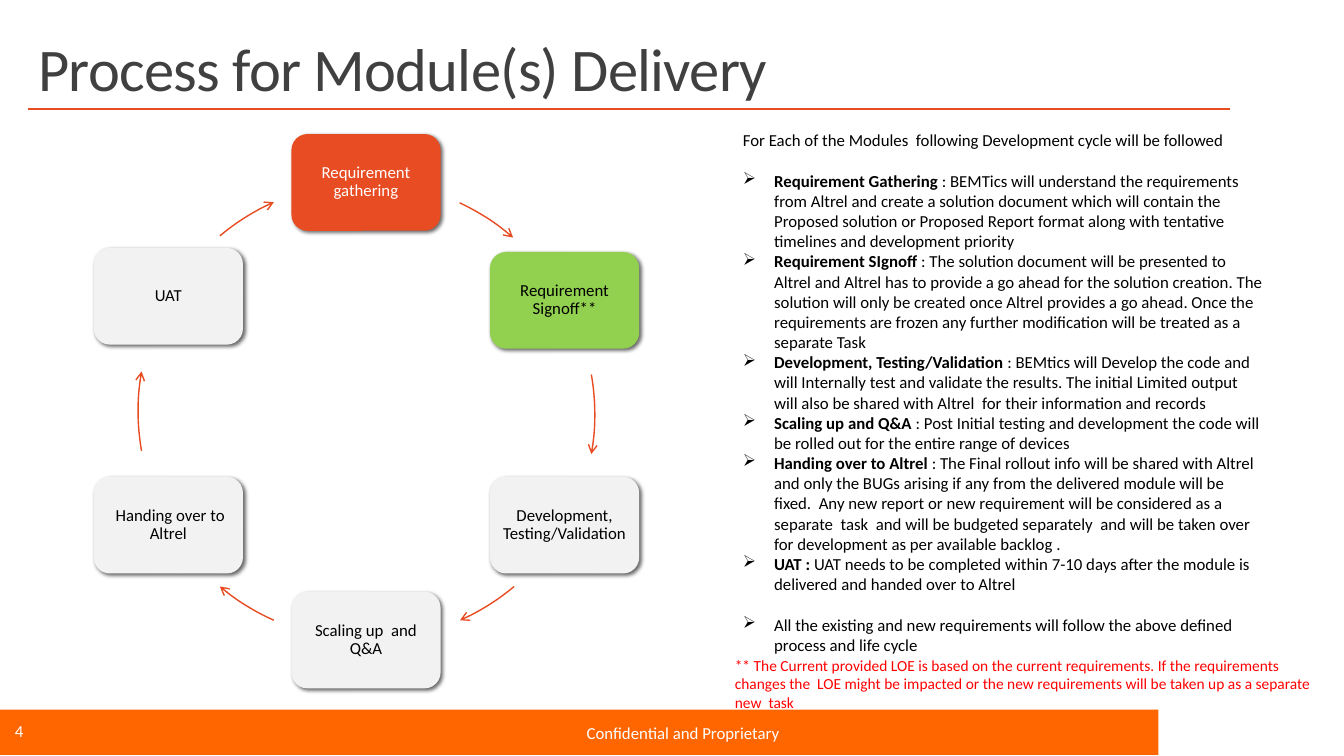
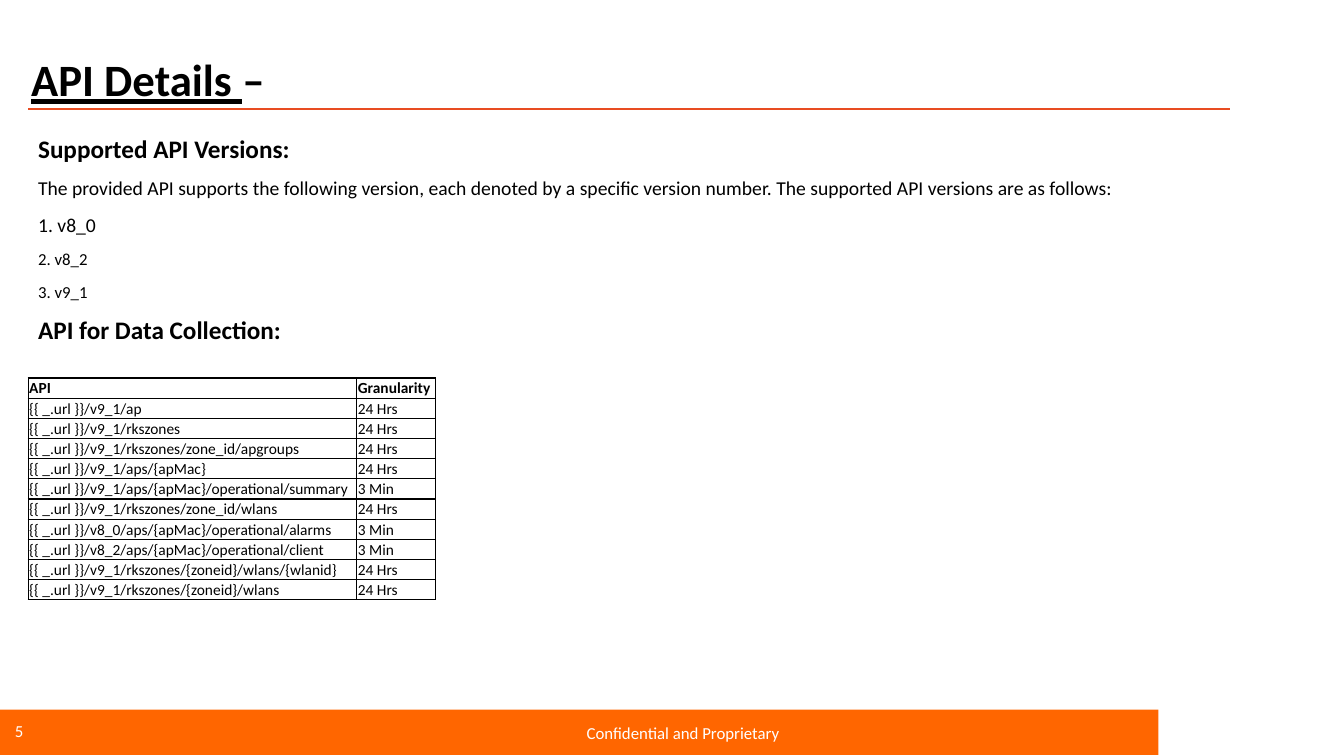
from typing import NamedTuple

from lxml.etree import SubElement
from pptx import Presentation
from pptx.dml.color import RGBColor
from pptx.enum.shapes import MSO_CONNECTOR, MSO_SHAPE
from pptx.enum.text import MSO_ANCHOR, MSO_AUTO_SIZE, PP_ALIGN
from pptx.oxml.ns import qn
from pptx.util import Pt

# Scale: 100 px to the inch
PX = 9144
FONT = "Calibri"

ORANGE = RGBColor(0xFF, 0x66, 0x00)
RUST = RGBColor(0xE8, 0x4C, 0x22)
GREEN = RGBColor(0x92, 0xD0, 0x50)
PALE = RGBColor(0xF2, 0xF2, 0xF2)
GREY = RGBColor(0x40, 0x40, 0x40)
RED = RGBColor(0xFF, 0x00, 0x00)
BLACK = RGBColor(0x00, 0x00, 0x00)
WHITE = RGBColor(0xFF, 0xFF, 0xFF)


class Box(NamedTuple):
    x: int
    y: int
    w: int
    h: int

    def emu(self) -> list[int]:
        return [side * PX for side in self]


class Step(NamedTuple):
    label: str
    x: int
    y: int
    fill: RGBColor = PALE
    ink: RGBColor = BLACK


class Arc(NamedTuple):
    x: int
    y: int
    start: int
    end: int


class Item(NamedTuple):
    lead: str
    body: str
    gap: float = 0


class Line(NamedTuple):
    text: str
    size: int
    bold: bool = False


# Slide 1: the cycle and its notes
CARD_W, CARD_H, RING = 148, 96, 454
STEPS = [
    Step("Requirement gathering", 289, 133, RUST, WHITE),
    Step("Requirement Signoff**", 486, 250, GREEN),
    Step("Development, Testing/Validation", 486, 473),
    Step("Scaling up  and Q&A", 289, 587),
    Step(" Handing over to Altrel", 93, 473),
    Step("UAT", 93, 246),
]
ARCS = [
    Arc(133, 180, 295, 311),
    Arc(136, 184, 350, 10),
    Arc(137, 181, 50, 66),
    Arc(137, 181, 114, 130),
    Arc(137, 181, 170, 190),
    Arc(137, 181, 230, 246),
]
INTRO = "For Each of the Modules  following Development cycle will be followed"
BLANK = 14.6
ITEMS = [
    Item("Requirement Gathering ",
         ": BEMTics will understand the requirements from Altrel and create a "
         "solution document which will contain the Proposed solution or Proposed "
         "Report format along with tentative timelines and development priority",
         BLANK),
    Item("Requirement SIgnoff ",
         ": The solution document will be presented to Altrel and Altrel has to "
         "provide a go ahead for the solution creation. The solution will only be "
         "created once Altrel provides a go ahead. Once the requirements are frozen "
         "any further modification will be treated as a separate Task"),
    Item("Development, Testing/Validation ",
         ": BEMtics will Develop the code and will Internally test and validate the "
         "results. The initial Limited output will also be shared with Altrel  for "
         "their information and records"),
    Item("Scaling up and Q&A ",
         ": Post Initial testing and development the code will be rolled out for "
         "the entire range of devices"),
    Item("Handing over to Altrel ",
         ": The Final rollout info will be shared with Altrel and only the BUGs "
         "arising if any from the delivered module will be fixed.  Any new report or "
         "new requirement will be considered as a separate  task  and will be "
         "budgeted separately  and will be taken over for development as per "
         "available backlog ."),
    Item("UAT : ",
         "UAT needs to be completed within 7-10 days after the module is delivered "
         "and handed over to Altrel"),
    Item("",
         "All the existing and new requirements will follow the above defined "
         "process and life cycle", BLANK),
]
NOTE = ("** The Current provided LOE is based on the current requirements. If the "
        "requirements changes the  LOE might be impacted or the new requirements "
        "will be taken up as a separate new  task")

# Slide 2: versions and calls
LINES = [
    Line("Supported API Versions:", 18, True),
    Line("The provided API supports the following version, each denoted by a "
         "specific version number. The supported API versions are as follows:", 14),
    Line("1. v8_0", 14),
    Line("2. v8_2", 12),
    Line("3. v9_1", 12),
    Line("API for Data Collection:", 18, True),
]
DAY, FAST = "24 Hrs", "3 Min"
CALLS = [
    ("v9_1/ap", DAY),
    ("v9_1/rkszones", DAY),
    ("v9_1/rkszones/zone_id/apgroups", DAY),
    ("v9_1/aps/{apMac}", DAY),
    ("v9_1/aps/{apMac}/operational/summary", FAST),
    ("v9_1/rkszones/zone_id/wlans", DAY),
    ("v8_0/aps/{apMac}/operational/alarms", FAST),
    ("v8_2/aps/{apMac}/operational/client", FAST),
    ("v9_1/rkszones/{zoneid}/wlans/{wlanid}", DAY),
    ("v9_1/rkszones/{zoneid}/wlans", DAY),
]
COLS, ROW_H = (326, 78), 20


def style(par, size: float, ink: RGBColor = BLACK, bold: bool = False,
          align=PP_ALIGN.LEFT) -> None:
    par.alignment = align
    font = par.font
    font.name, font.size, font.bold = FONT, Pt(size), bold
    font.color.rgb = ink


def space(par, lines: float, after: float = 0) -> None:
    par.line_spacing = lines
    par.space_before, par.space_after = Pt(0), Pt(after)


def add_text(slide, box: Box, text: str = "", size: float = 12,
             ink: RGBColor = BLACK):
    frame = slide.shapes.add_textbox(*box.emu()).text_frame
    frame.word_wrap = True
    if text:
        par = frame.paragraphs[0]
        par.text = text
        style(par, size, ink)
    return frame


def add_form(slide, kind, box: Box, fill: RGBColor | None = None):
    form = slide.shapes.add_shape(kind, *box.emu())
    form.shadow.inherit = False
    if fill is None:
        form.fill.background()
    else:
        form.fill.solid()
        form.fill.fore_color.rgb = fill
        form.line.fill.background()
    return form


def add_base(deck, page: int):
    """Start a slide with the shared band, rule and footer."""
    slide = deck.slides.add_slide(deck.slide_layouts[5])
    add_form(slide, MSO_SHAPE.RECTANGLE, Box(0, 704, 1149, 45), ORANGE)
    rule = slide.shapes.add_connector(
        MSO_CONNECTOR.STRAIGHT, 28 * PX, 108 * PX, 1220 * PX, 108 * PX)
    rule.line.color.rgb = RUST
    rule.line.width = Pt(1.5)
    SubElement(rule._element.spPr, qn("a:effectLst"))
    add_text(slide, Box(572, 712, 527, 40), "Confidential and Proprietary", ink=WHITE)
    add_text(slide, Box(5, 710, 143, 40), str(page), ink=WHITE)
    return slide


def set_title(slide, box: Box, anchor):
    """Move the title and return its paragraph."""
    title = slide.shapes.title
    title.left, title.top, title.width, title.height = box.emu()
    frame = title.text_frame
    frame.auto_size = MSO_AUTO_SIZE.NONE
    frame.word_wrap = True
    frame.vertical_anchor = anchor
    return frame.paragraphs[0]


def add_card(slide, step: Step) -> None:
    card = add_form(slide, MSO_SHAPE.ROUNDED_RECTANGLE,
                    Box(step.x, step.y, CARD_W, CARD_H), step.fill)
    glow = SubElement(card._element.spPr.find(qn("a:effectLst")), qn("a:outerShdw"),
                      blurRad="38100", dist="25400", dir="2700000", rotWithShape="0")
    tint = SubElement(glow, qn("a:srgbClr"), val=str(BLACK))
    SubElement(tint, qn("a:alpha"), val="60000")
    frame = card.text_frame
    frame.word_wrap = True
    frame.vertical_anchor = MSO_ANCHOR.MIDDLE
    frame.margin_left = frame.margin_right = 5 * PX
    frame.margin_top = frame.margin_bottom = 5 * PX
    par = frame.paragraphs[0]
    par.text = step.label
    style(par, 12, step.ink, align=PP_ALIGN.CENTER)
    space(par, 0.9)


def add_arc(slide, arc: Arc) -> None:
    form = add_form(slide, MSO_SHAPE.ARC, Box(arc.x, arc.y, RING, RING))
    # One degree is 60000 units, and adjustments count in 100000
    form.adjustments[0] = arc.start * 0.6
    form.adjustments[1] = arc.end * 0.6
    form.line.color.rgb = RUST
    form.line.width = Pt(1)
    SubElement(form.line._get_or_add_ln(), qn("a:tailEnd"), type="arrow")


def add_item(frame, item: Item) -> None:
    par = frame.add_paragraph()
    props = par._p.get_or_add_pPr()
    props.set("marL", str(31 * PX))
    props.set("indent", str(-31 * PX))
    SubElement(props, qn("a:buChar"), char="➢")
    style(par, 12)
    par.space_before = Pt(item.gap)
    if item.lead:
        run = par.add_run()
        run.text = item.lead
        run.font.bold = True
    par.add_run().text = item.body


def fill_cell(cell, text: str, bold: bool) -> None:
    props = cell._tc.get_or_add_tcPr()
    for side in ("lnL", "lnR", "lnT", "lnB"):
        edge = SubElement(props, qn(f"a:{side}"), w="12700")
        paint = SubElement(edge, qn("a:solidFill"))
        SubElement(paint, qn("a:srgbClr"), val=str(BLACK))
    cell.fill.background()
    cell.margin_left = cell.margin_right = cell.margin_top = PX
    cell.margin_bottom = 0
    cell.vertical_anchor = MSO_ANCHOR.BOTTOM
    par = cell.text_frame.paragraphs[0]
    par.text = text
    style(par, 11, bold=bold)


def add_cycle(deck) -> None:
    slide = add_base(deck, 4)
    par = set_title(slide, Box(28, 31, 1192, 77), MSO_ANCHOR.BOTTOM)
    style(par, 43.2, GREY)
    space(par, 0.85)
    run = par.add_run()
    run.text = "Process for Module(s) Delivery"
    run._r.get_or_add_rPr().set("spc", "-50")

    for step, arc in zip(STEPS, ARCS):
        add_card(slide, step)
        add_arc(slide, arc)

    add_text(slide, Box(719, 646, 614, 66), NOTE, 11, RED)
    frame = add_text(slide, Box(727, 124, 536, 555), INTRO)
    for item in ITEMS:
        add_item(frame, item)


def add_api(deck) -> None:
    slide = add_base(deck, 5)
    par = set_title(slide, Box(21, 43, 264, 65), MSO_ANCHOR.TOP)
    style(par, 32, bold=True, align=PP_ALIGN.JUSTIFY)
    space(par, 1.07, 8)
    run = par.add_run()
    run.text = "API Details "
    run.font.underline = True
    par.add_run().text = "–"

    frame = add_text(slide, Box(28, 125, 1264, 304))
    for num, line in enumerate(LINES):
        par = frame.add_paragraph() if num else frame.paragraphs[0]
        par.text = line.text
        style(par, line.size, bold=line.bold)
        space(par, 1.07, 8)

    rows = [("API", "Granularity")]
    rows += [("{{ _.url }}/" + call, rate) for call, rate in CALLS]
    box = Box(28, 375, sum(COLS), ROW_H * len(rows))
    table = slide.shapes.add_table(len(rows), len(COLS), *box.emu()).table
    table.first_row = table.horz_banding = False
    for col, width in zip(table.columns, COLS):
        col.width = width * PX
    for top, row in enumerate(rows):
        for left, text in enumerate(row):
            fill_cell(table.cell(top, left), text, top == 0)


def main() -> None:
    deck = Presentation()
    deck.slide_width, deck.slide_height = 1333 * PX, 750 * PX
    add_cycle(deck)
    add_api(deck)
    deck.save("out.pptx")


if __name__ == "__main__":
    main()
